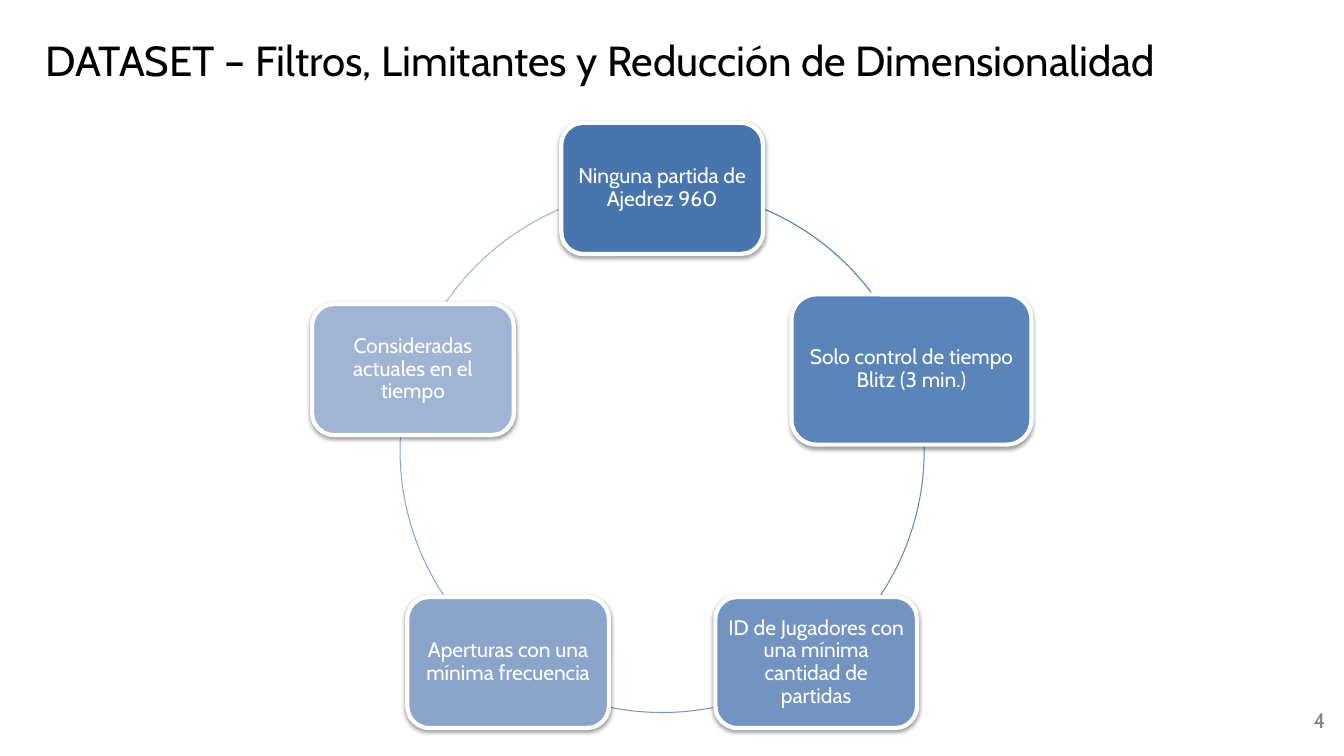
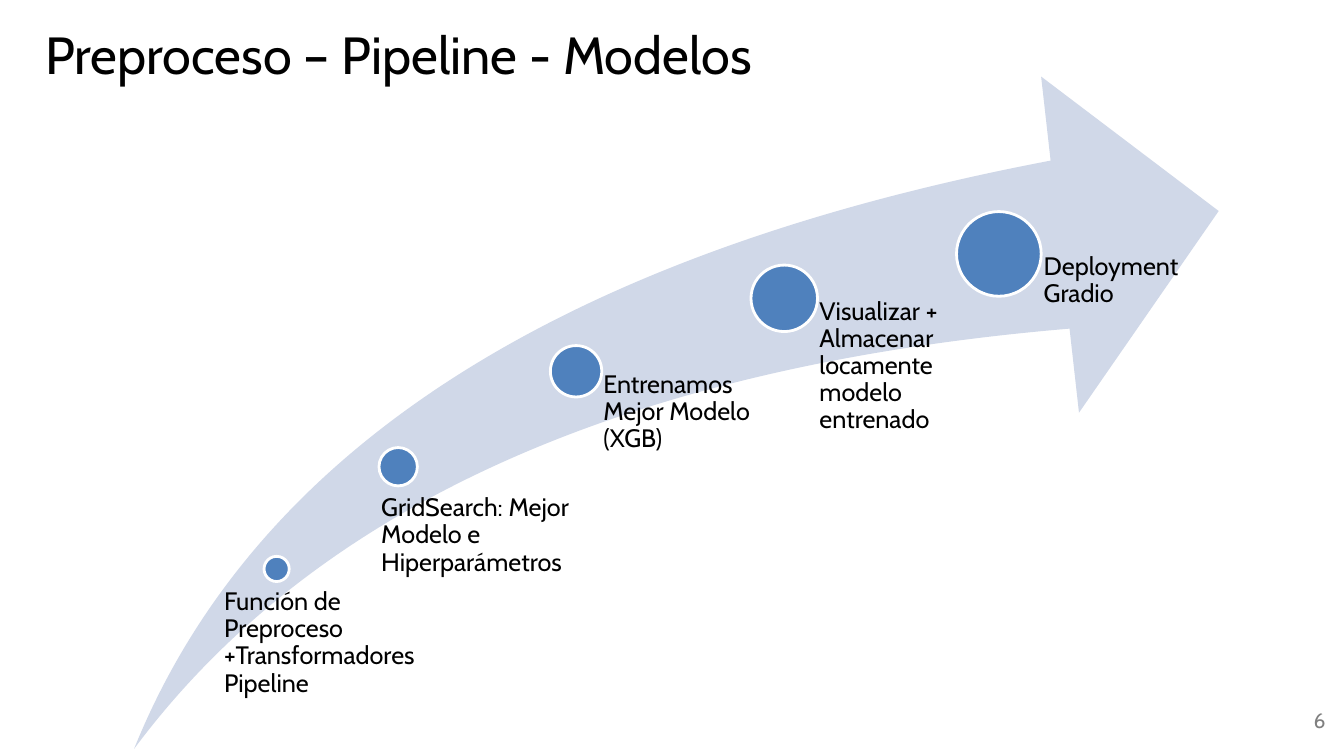
import math
from dataclasses import dataclass

import lxml.etree
import pptx
import pptx.dml.color
import pptx.enum.shapes
import pptx.enum.text
import pptx.oxml.ns
import pptx.util

Pt = pptx.util.Pt
SHAPE = pptx.enum.shapes.MSO_SHAPE
ALIGN = pptx.enum.text.PP_ALIGN
ANCHOR = pptx.enum.text.MSO_ANCHOR
qn = pptx.oxml.ns.qn


@dataclass(frozen=True)
class Theme:
    font: str = "Cabin"
    ink: str = "000000"
    paper: str = "FFFFFF"
    muted: str = "808080"
    accent: str = "4F81BD"
    swoosh: str = "D0D8E8"
    box_tints: tuple = ("4875AC", "5B84B9", "7393C1", "8BA4CA", "A2B4D4")
    arc_tints: tuple = ("4B7BB5", "6189BC", "7797C4", "8CA5CC", "A1B4D4")
    title_size: float = 30
    large_title_size: float = 37.3
    label_size: float = 18
    small_size: float = 15


def rgb(value):
    return pptx.dml.color.RGBColor.from_string(value)


def write(frame, text, *, font, size, color, align=ALIGN.LEFT, anchor=ANCHOR.TOP,
          insets=(0, 0, 0, 0), spacing=0.9, wrap=True):
    frame.word_wrap = wrap
    frame.auto_size = pptx.enum.text.MSO_AUTO_SIZE.NONE
    frame.vertical_anchor = anchor
    frame.margin_left, frame.margin_top, frame.margin_right, frame.margin_bottom = map(Pt, insets)
    paragraph = frame.paragraphs[0]
    paragraph.alignment = align
    paragraph.line_spacing = spacing
    run = paragraph.add_run()
    run.text = text
    run.font.name = font
    run.font.size = Pt(size)
    run.font.color.rgb = rgb(color)


class Deck:
    def __init__(self, theme):
        self.theme = theme
        self.presentation = pptx.Presentation()
        self.presentation.slide_width = Pt(960)
        self.presentation.slide_height = Pt(540)
        self.slide = None

    def start(self, title, number, title_size):
        theme = self.theme
        self.slide = self.presentation.slides.add_slide(self.presentation.slide_layouts[5])
        heading = self.slide.shapes.title
        heading.left, heading.top, heading.width, heading.height = map(Pt, (25.2, 5, 916.6, 59))
        write(heading.text_frame, title, font=theme.font, size=title_size, color=theme.ink,
              anchor=ANCHOR.BOTTOM, insets=(7.2, 3.6, 7.2, 3.6), spacing=1.0)
        self.text(number, 916.6, 503.3, 36, 23.8, size=theme.small_size, color=theme.muted,
                  align=ALIGN.RIGHT, anchor=ANCHOR.MIDDLE, insets=(0, 3.6, 5.8, 3.6), wrap=False)

    def text(self, content, left, top, width, height, **style):
        box = self.slide.shapes.add_textbox(Pt(left), Pt(top), Pt(width), Pt(height))
        write(box.text_frame, content, font=self.theme.font, **style)

    def shape(self, kind, left, top, width, height, fill=None, line=None, weight=0):
        shape = self.slide.shapes.add_shape(kind, Pt(left), Pt(top), Pt(width), Pt(height))
        shape.shadow.inherit = False
        if fill:
            shape.fill.solid()
            shape.fill.fore_color.rgb = rgb(fill)
        else:
            shape.fill.background()
        if line:
            shape.line.color.rgb = rgb(line)
            shape.line.width = Pt(weight)
        else:
            shape.line.fill.background()
        return shape

    def centred(self, kind, x, y, width, height, **style):
        return self.shape(kind, x - width / 2, y - height / 2, width, height, **style)

    def arc(self, x, y, radius, start, end, color):
        arc = self.centred(SHAPE.ARC, x, y, 2 * radius, 2 * radius, line=color, weight=0.75)
        for index, angle in enumerate((start, end)):
            arc.adjustments[index] = angle % 360 * 0.6

    def card(self, content, x, y, width, height, fill):
        theme = self.theme
        card = self.centred(SHAPE.ROUNDED_RECTANGLE, x, y, width, height,
                            fill=fill, line=theme.paper, weight=3)
        effects = card._element.spPr.find(qn("a:effectLst"))
        shadow = lxml.etree.SubElement(
            effects, qn("a:outerShdw"), blurRad=str(Pt(3.1)), dist=str(Pt(1.6)),
            dir="5400000", rotWithShape="0")
        tone = lxml.etree.SubElement(shadow, qn("a:srgbClr"), val=theme.ink)
        lxml.etree.SubElement(tone, qn("a:alpha"), val="38000")
        write(card.text_frame, content, font=theme.font, size=theme.small_size,
              color=theme.paper, align=ALIGN.CENTER, anchor=ANCHOR.MIDDLE, insets=(4.5,) * 4)

    def milestone(self, content, x, y, diameter, label_left, label_top, label_width):
        theme = self.theme
        self.centred(SHAPE.OVAL, x, y, diameter, diameter,
                     fill=theme.accent, line=theme.paper, weight=2)
        self.text(content, label_left, label_top, label_width, 535 - label_top,
                  size=theme.label_size, color=theme.ink, insets=(0.53 * diameter, 0, 0, 0))


def add_filters(deck):
    theme = deck.theme
    deck.start("DATASET – Filtros, Limitantes y Reducción de Dimensionalidad", "4",
               theme.title_size)
    center_x, center_y, radius = 473, 321.8, 187.2
    regular, large = (144, 93.6), (171.4, 107.3)
    filters = (
        ("Ninguna partida de Ajedrez 960", regular),
        ("Solo control de tiempo Blitz (3 min.)", large),
        ("ID de Jugadores con una mínima cantidad de partidas", regular),
        ("Aperturas con una mínima frecuencia", regular),
        ("Consideradas actuales en el tiempo", regular),
    )
    step = 360 / len(filters)
    angles = [step * index - 90 for index in range(len(filters))]
    for angle, tint in zip(angles, theme.arc_tints):
        deck.arc(center_x, center_y, radius, angle, angle + step, tint)
    for (content, size), angle, tint in zip(filters, angles, theme.box_tints):
        turn = math.radians(angle)
        deck.card(content, center_x + radius * math.cos(turn),
                  center_y + radius * math.sin(turn), *size, tint)


def add_pipeline(deck):
    theme = deck.theme
    deck.start("Preproceso – Pipeline - Modelos", "6", theme.large_title_size)
    swoosh = deck.shape(SHAPE.SWOOSH_ARROW, 95.8, 54.7, 774.7, 480.2, fill=theme.swoosh)
    swoosh.adjustments[0] = swoosh.adjustments[1] = 0.25
    milestones = (
        ("Función de Preproceso +Transformadores Pipeline", 197.6, 406.4, 18, 150.5, 420.5, 166.3),
        ("GridSearch: Mejor Modelo e Hiperparámetros", 284.4, 333.4, 27.4, 257.8, 353.5, 178.6),
        ("Entrenamos Mejor Modelo (XGB)", 411.5, 265.2, 36.7, 411.5, 265.2, 148.3),
        ("Visualizar + Almacenar locamente modelo entrenado",
         560.2, 213.1, 47.5, 560.2, 213.1, 153.4),
        ("Deployment Gradio", 713.5, 181.4, 60.5, 713.5, 181.4, 153.4),
    )
    for milestone in milestones:
        deck.milestone(*milestone)


def main():
    deck = Deck(Theme())
    add_filters(deck)
    add_pipeline(deck)
    deck.presentation.save("out.pptx")


if __name__ == "__main__":
    main()
